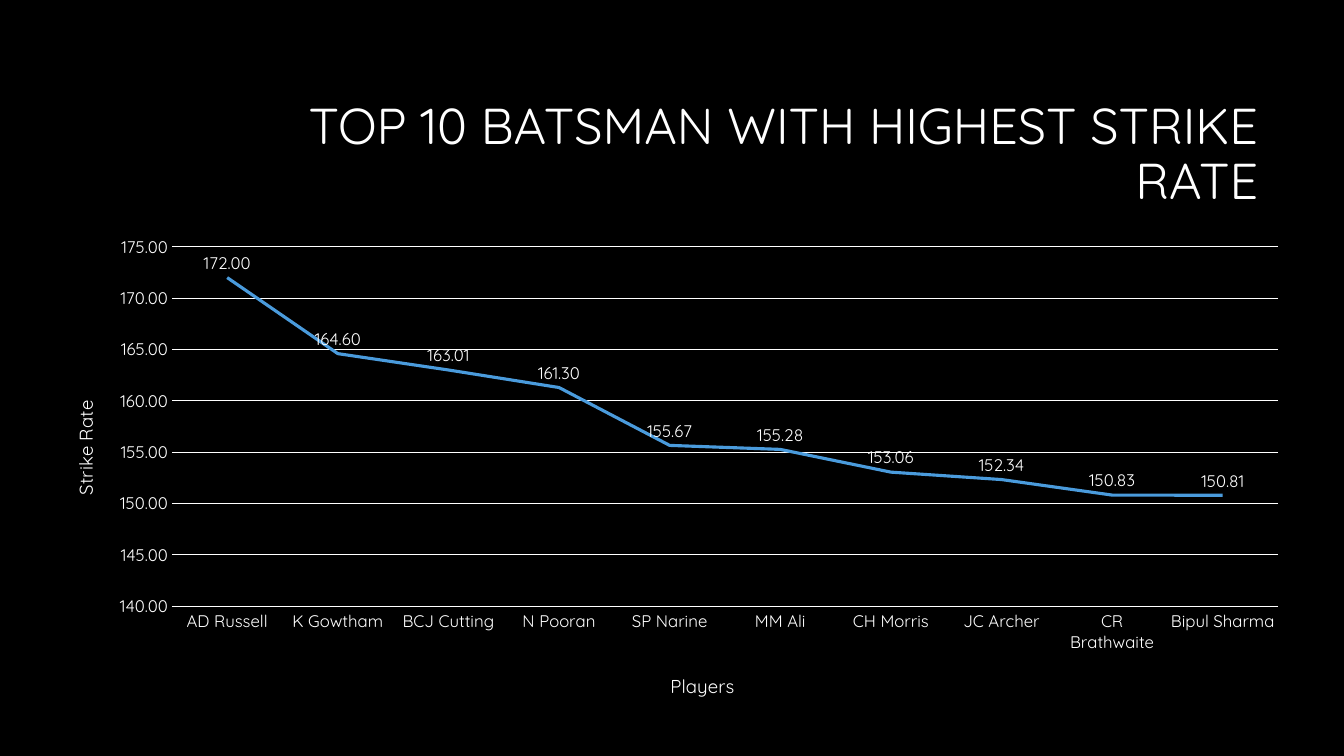
from dataclasses import dataclass

from lxml.etree import SubElement
from pptx import Presentation
from pptx.chart.data import CategoryChartData as ChartData
from pptx.dml.color import RGBColor as Color
from pptx.enum.chart import XL_CHART_TYPE as ChartType
from pptx.enum.chart import XL_LABEL_POSITION as LabelPosition
from pptx.enum.chart import XL_TICK_MARK as TickMark
from pptx.enum.text import MSO_ANCHOR as Anchor
from pptx.enum.text import MSO_AUTO_SIZE as AutoSize
from pptx.enum.text import PP_ALIGN as Align
from pptx.oxml.ns import qn
from pptx.util import Pt


@dataclass(frozen=True)
class Theme:
    """Colours, typeface and type sizes of the slide."""
    paper: Color = Color(0, 0, 0)
    ink: Color = Color(255, 255, 255)
    accent: Color = Color(0x4A, 0x9B, 0xDC)
    face: str = "Quicksand"
    title: float = 36
    axis_title: float = 13.3
    label: float = 12
    hairline: float = 0.75
    curve: float = 2.25


class SlideBuilder:
    """Adds styled elements to one slide."""

    def __init__(self, page, theme):
        """Keep the page and theme and paint the background."""
        self.page = page
        self.theme = theme
        fill = page.background.fill
        fill.solid()
        fill.fore_color.rgb = theme.paper

    def style_font(self, font, size):
        """Apply the theme typeface and ink at a given size."""
        font.name = self.theme.face
        font.size = Pt(size)
        font.bold = False
        font.color.rgb = self.theme.ink

    def style_line(self, line, color, width):
        """Give a line its colour and width."""
        line.color.rgb = color
        line.width = Pt(width)

    def place(self, element, index, **fractions):
        """Fix a chart part at fractions of the chart area."""
        layout = element.find(qn("c:layout"))
        if layout is None:
            layout = element.makeelement(qn("c:layout"))
            element.insert(index, layout)
        manual = SubElement(layout, qn("c:manualLayout"))
        settings = {"xMode": "edge", "yMode": "edge", **fractions}
        if "w" in fractions:
            settings = {"layoutTarget": "inner", **settings}
        for name, value in settings.items():
            SubElement(manual, qn(f"c:{name}")).set("val", str(value))

    def add_title(self, text, left, top, width, height):
        """Move and fill the title placeholder."""
        box = self.page.shapes.title
        box.left, box.top, box.width, box.height = map(Pt, (left, top, width, height))
        frame = box.text_frame
        frame.word_wrap = True
        frame.auto_size = AutoSize.NONE
        frame.vertical_anchor = Anchor.MIDDLE
        para = frame.paragraphs[0]
        para.alignment = Align.RIGHT
        para.line_spacing = 0.9
        span = para.add_run()
        span.text = text
        self.style_font(span.font, self.theme.title)

    def style_axis(self, axis, title, x, y):
        """Format an axis and position its title."""
        axis.major_tick_mark = axis.minor_tick_mark = TickMark.NONE
        self.style_font(axis.tick_labels.font, self.theme.label)
        para = axis.axis_title.text_frame.paragraphs[0]
        span = para.add_run()
        span.text = title
        self.style_font(span.font, self.theme.axis_title)
        self.place(axis.axis_title._element, 1, x=x, y=y)

    def add_line_chart(self, scores, left, top, width, height):
        """Add the labelled strike rate curve."""
        theme = self.theme
        data = ChartData(number_format="0.00")
        data.categories = list(scores)
        data.add_series("Series 1", list(scores.values()))
        frame = self.page.shapes.add_chart(
            ChartType.LINE, *map(Pt, (left, top, width, height)), data)
        chart = frame.chart
        chart.has_legend = chart.has_title = False
        self.style_font(chart.font, theme.label)
        plot_area = chart._chartSpace.chart.plotArea
        self.place(plot_area, 0, x=0.104, y=0.041, w=0.876, h=0.736)

        players, rates = chart.category_axis, chart.value_axis
        self.style_axis(players, "Players", x=0.496, y=0.906)
        self.style_axis(rates, "Strike Rate", x=0.022, y=0.348)
        self.style_line(players.format.line, theme.ink, theme.hairline)
        self.style_line(rates.major_gridlines.format.line, theme.ink, theme.hairline)
        rates.format.line.fill.background()
        rates.minimum_scale, rates.maximum_scale, rates.major_unit = 140, 175, 5
        rates.tick_labels.number_format = "0.00"
        rates.tick_labels.number_format_is_linked = False

        plot = chart.plots[0]
        plot.vary_by_categories = False
        curve = plot.series[0]
        curve.smooth = False
        self.style_line(curve.format.line, theme.accent, theme.curve)
        labels = curve.data_labels
        labels.show_value = True
        labels.position = LabelPosition.ABOVE
        labels.number_format = "0.00"
        labels.number_format_is_linked = False
        self.style_font(labels.font, theme.label)


STRIKE_RATES = {
    "AD Russell": 172,
    "K Gowtham": 164.6,
    "BCJ Cutting": 163.01,
    "N Pooran": 161.3,
    "SP Narine": 155.67,
    "MM Ali": 155.28,
    "CH Morris": 153.06,
    "JC Archer": 152.34,
    "CR Brathwaite": 150.83,
    "Bipul Sharma": 150.81,
}

deck = Presentation()
deck.slide_width, deck.slide_height = Pt(960), Pt(540)
builder = SlideBuilder(deck.slides.add_slide(deck.slide_layouts[5]), Theme())
builder.add_title("TOP 10 BATSMAN WITH HIGHEST STRIKE RATE", 144, 60.5, 762, 101.5)
builder.add_line_chart(STRIKE_RATES, 29, 162, 902, 349)
deck.save("out.pptx")
